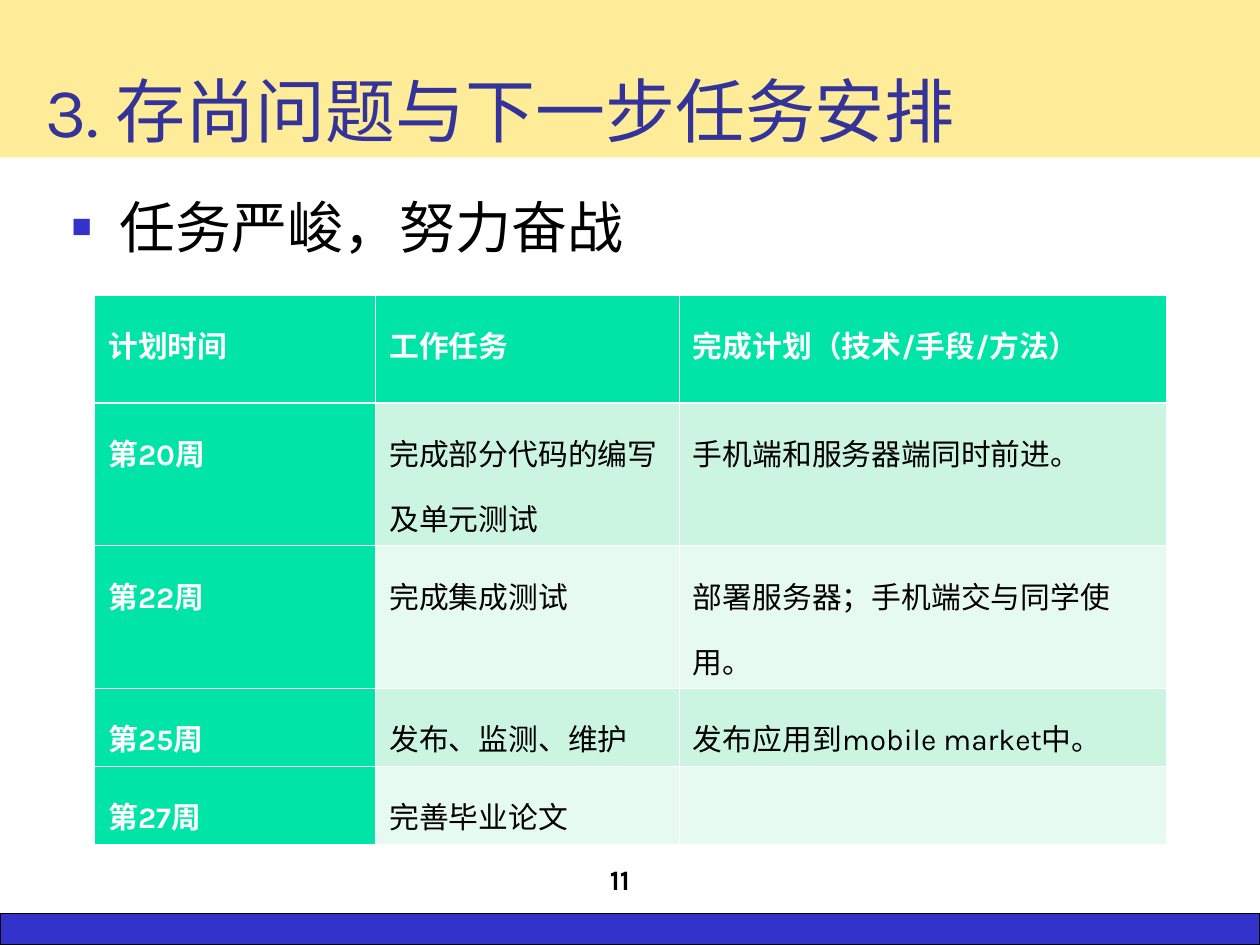
from lxml import etree
from pptx import Presentation
from pptx.dml.color import RGBColor
from pptx.enum.shapes import MSO_SHAPE as Shape
from pptx.enum.text import MSO_ANCHOR as Anchor, MSO_AUTO_SIZE as AutoSize, PP_ALIGN as Align
from pptx.oxml.ns import qn
from pptx.util import Inches, Pt

COLORS = {
    "banner": "FFEC99", "title": "333399", "accent": "3333CC", "black": "000000",
    "white": "FFFFFF", "green": "00E4A8", "odd": "CBF5E1", "even": "E7FAF1",
}


def color(name):
    return RGBColor.from_string(COLORS[name])


def write(paragraph, text, color_name, **formats):
    run = paragraph.add_run()
    run.text = text
    for name, value in {"name": "Karla", "bold": False, **formats}.items():
        setattr(run.font, name, value)
    run.font.color.rgb = color(color_name)


presentation = Presentation()
presentation.slide_width, presentation.slide_height = Inches(10), Inches(7.5)
slide = presentation.slides.add_slide(presentation.slide_layouts[5])

title = slide.shapes.title
title.left, title.top, title.width, title.height = (Inches(n) for n in (0, 0, 10, 1.25))
title.fill.solid()
title.fill.fore_color.rgb = color("banner")
title_format = {
    "auto_size": AutoSize.NONE, "vertical_anchor": Anchor.BOTTOM, "word_wrap": True,
    "margin_left": Inches(0.36),
}
for name, value in title_format.items():
    setattr(title.text_frame, name, value)
title_paragraph = title.text_frame.paragraphs[0]
title_paragraph.alignment = Align.LEFT
write(title_paragraph, "3. 存尚问题与下一步任务安排", "title", size=Pt(40))

footer_bar = slide.shapes.add_shape(Shape.RECTANGLE, 0, Inches(7.25), Inches(10), Inches(0.25))
footer_bar.shadow.inherit = False
footer_bar.fill.solid()
footer_bar.fill.fore_color.rgb = color("accent")
footer_bar.line.color.rgb = color("black")
footer_bar.line.width = Pt(0.75)

page_number = slide.shapes.add_textbox(Inches(3.67), Inches(6.66), Inches(2.5), Inches(0.5))
page_number.text_frame.word_wrap = True
page_number.text_frame.vertical_anchor = Anchor.BOTTOM
page_paragraph = page_number.text_frame.paragraphs[0]
page_paragraph.alignment = Align.CENTER
write(page_paragraph, "11", "black", size=Pt(16), bold=True)

body = slide.shapes.add_textbox(Inches(0.47), Inches(1.48), Inches(9.22), Inches(4.92))
body.text_frame.word_wrap = True
bullet_paragraph = body.text_frame.paragraphs[0]
bullet_paragraph.space_before = Pt(8)
write(bullet_paragraph, "任务严峻，努力奋战", "black", size=Pt(32))
properties = bullet_paragraph._p.get_or_add_pPr()
properties.set("marL", str(Inches(0.38)))
properties.set("indent", str(-Inches(0.38)))
bullet_color = etree.SubElement(properties, qn("a:buClr"))
etree.SubElement(bullet_color, qn("a:srgbClr"), val=COLORS["accent"])
etree.SubElement(properties, qn("a:buSzPct"), val="60000")
etree.SubElement(properties, qn("a:buFont"), typeface="Arial")
etree.SubElement(properties, qn("a:buChar"), char="■")

plan = [
    ["计划时间", "工作任务", "完成计划（技术/手段/方法）"],
    ["第20周", "完成部分代码的编写及单元测试", "手机端和服务器端同时前进。"],
    ["第22周", "完成集成测试", "部署服务器；手机端交与同学使用。"],
    ["第25周", "发布、监测、维护", "发布应用到mobile market中。"],
    ["第27周", "完善毕业论文", ""],
]
column_widths = [2.23, 2.41, 3.87]
row_heights = [0.86, 1.13, 1.13, 0.62, 0.62]
table = slide.shapes.add_table(
    len(plan), len(column_widths), Inches(0.75), Inches(2.34),
    Inches(sum(column_widths)), Inches(sum(row_heights)),
).table
for column, width in zip(table.columns, column_widths):
    column.width = Inches(width)

cell_margins = {
    "margin_left": Inches(0.11), "margin_right": Inches(0.11),
    "margin_top": Inches(0.05), "margin_bottom": Inches(0.05),
}
for row_index, texts in enumerate(plan):
    table.rows[row_index].height = Inches(row_heights[row_index])
    for column_index, text in enumerate(texts):
        cell = table.cell(row_index, column_index)
        heading = row_index == 0 or column_index == 0
        for name, value in cell_margins.items():
            setattr(cell, name, value)

        cell_properties = cell._tc.get_or_add_tcPr()
        for side in ("lnL", "lnR", "lnT", "lnB"):
            thick = (row_index, side) in ((0, "lnB"), (1, "lnT"))
            border = etree.SubElement(
                cell_properties, qn(f"a:{side}"), w=str(Pt(1.47 if thick else 0.45))
            )
            border_fill = etree.SubElement(border, qn("a:solidFill"))
            etree.SubElement(border_fill, qn("a:srgbClr"), val=COLORS["white"])

        cell.fill.solid()
        band = "odd" if row_index % 2 else "even"
        cell.fill.fore_color.rgb = color("green" if heading else band)
        if text:
            paragraph = cell.text_frame.paragraphs[0]
            paragraph.line_spacing = 1.5
            paragraph._p.get_or_add_pPr().set("hangingPunct", "0")
            write(paragraph, text, "white" if heading else "black", size=Pt(17), bold=heading)

presentation.save("out.pptx")
